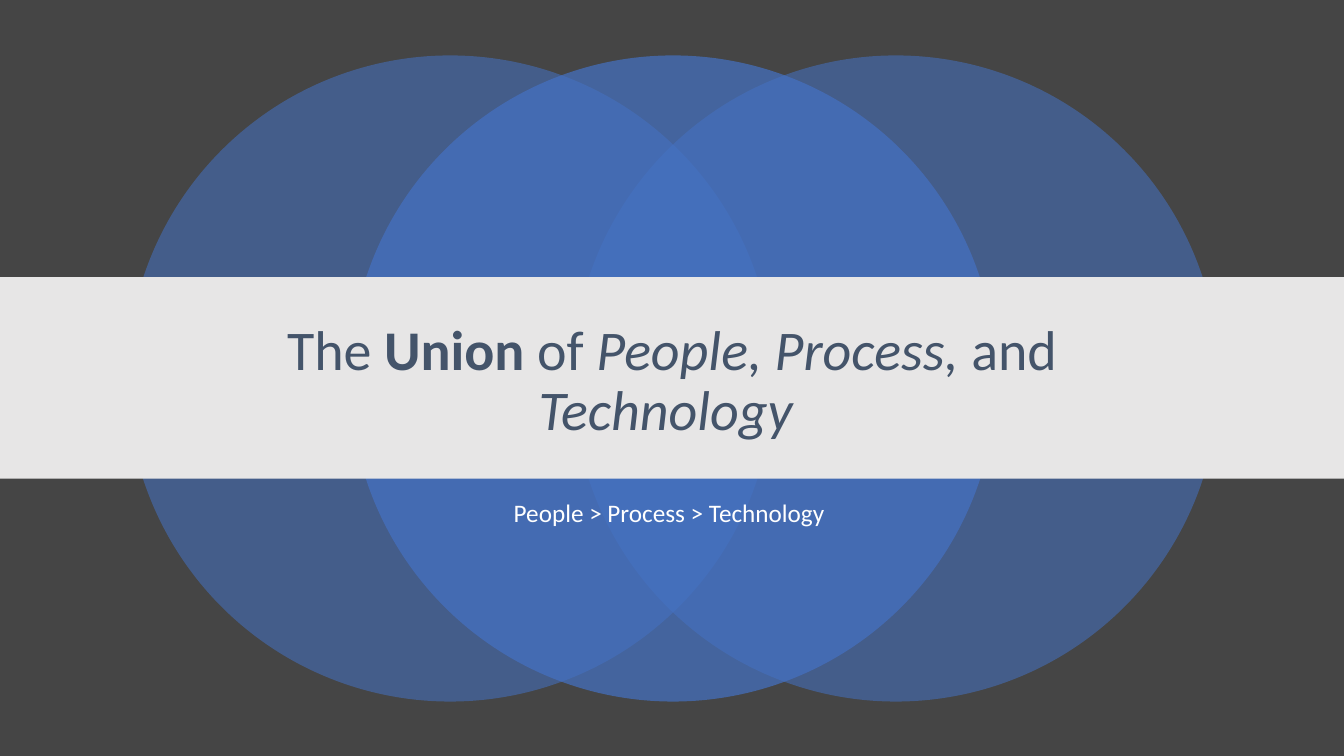
from lxml.etree import SubElement
from pptx import Presentation
from pptx.dml.color import RGBColor
from pptx.enum.shapes import MSO_SHAPE
from pptx.enum.text import MSO_ANCHOR, PP_ALIGN
from pptx.oxml.ns import qn
from pptx.util import Inches, Pt

WIDTH, HEIGHT = 13.33, 7.5
DARK = RGBColor(0x45, 0x45, 0x45)
BLUE = RGBColor(0x44, 0x72, 0xC4)
PALE = RGBColor(0xE7, 0xE6, 0xE6)
SLATE = RGBColor(0x44, 0x54, 0x6A)
WHITE = RGBColor(0xFF, 0xFF, 0xFF)

# Text, bold, italic
TITLE = [
    ("The ", False, False),
    ("Union", True, False),
    (" of ", False, False),
    ("People, Process, ", False, True),
    ("and ", False, False),
    ("Technology ", False, True),
]
MOTTO = [("People > Process > Technology ", False, False)]


def add_form(slide, kind, box, color, alpha=100):
    """Add a borderless shape; alpha is its opacity in percent."""
    form = slide.shapes.add_shape(kind, *map(Inches, box))
    form.shadow.inherit = False
    form.line.fill.background()
    form.fill.solid()
    form.fill.fore_color.rgb = color
    if alpha < 100:
        tint = form.fill._xPr.find(qn("a:solidFill"))[0]
        SubElement(tint, qn("a:alpha"), val=str(alpha * 1000))


def add_text(slide, box, parts, size, color, anchor):
    frame = slide.shapes.add_textbox(*map(Inches, box)).text_frame
    frame.word_wrap = True
    frame.vertical_anchor = anchor
    line = frame.paragraphs[0]
    line.alignment = PP_ALIGN.CENTER
    line.line_spacing = 0.9
    for text, bold, italic in parts:
        run = line.add_run()
        run.text = text
        font = run.font
        font.name, font.size = "Calibri", Pt(size)
        font.bold, font.italic = bold, italic
        font.color.rgb = color


def add_rings(slide, left, top, width, height):
    """Overlap three circles evenly, the middle one in front."""
    step = (width - height) / 2
    for place, alpha in ((0, 55), (2, 55), (1, 70)):
        box = (left + place * step, top, height, height)
        add_form(slide, MSO_SHAPE.OVAL, box, BLUE, alpha)


def add_band(slide, left, top, width, height):
    """Place the title on a full-width band and the motto below it."""
    inset = width / 8
    inner = width - 2 * inset
    add_text(slide, (left + inset, top + height + 0.17, inner, 0.83),
             MOTTO, 18, WHITE, MSO_ANCHOR.TOP)
    add_form(slide, MSO_SHAPE.RECTANGLE, (left, top, width, height), PALE)
    add_text(slide, (left + inset, top + 0.29, inner, 1.51),
             TITLE, 40, SLATE, MSO_ANCHOR.MIDDLE)


def main():
    deck = Presentation()
    deck.slide_width, deck.slide_height = Inches(WIDTH), Inches(HEIGHT)
    slide = deck.slides.add_slide(deck.slide_layouts[6])
    slide.background.fill.solid()
    slide.background.fill.fore_color.rgb = DARK
    add_rings(slide, 1.26, 0.55, 10.83, 6.41)
    add_band(slide, 0, 2.75, WIDTH, 2)
    deck.save("out.pptx")


if __name__ == "__main__":
    main()
